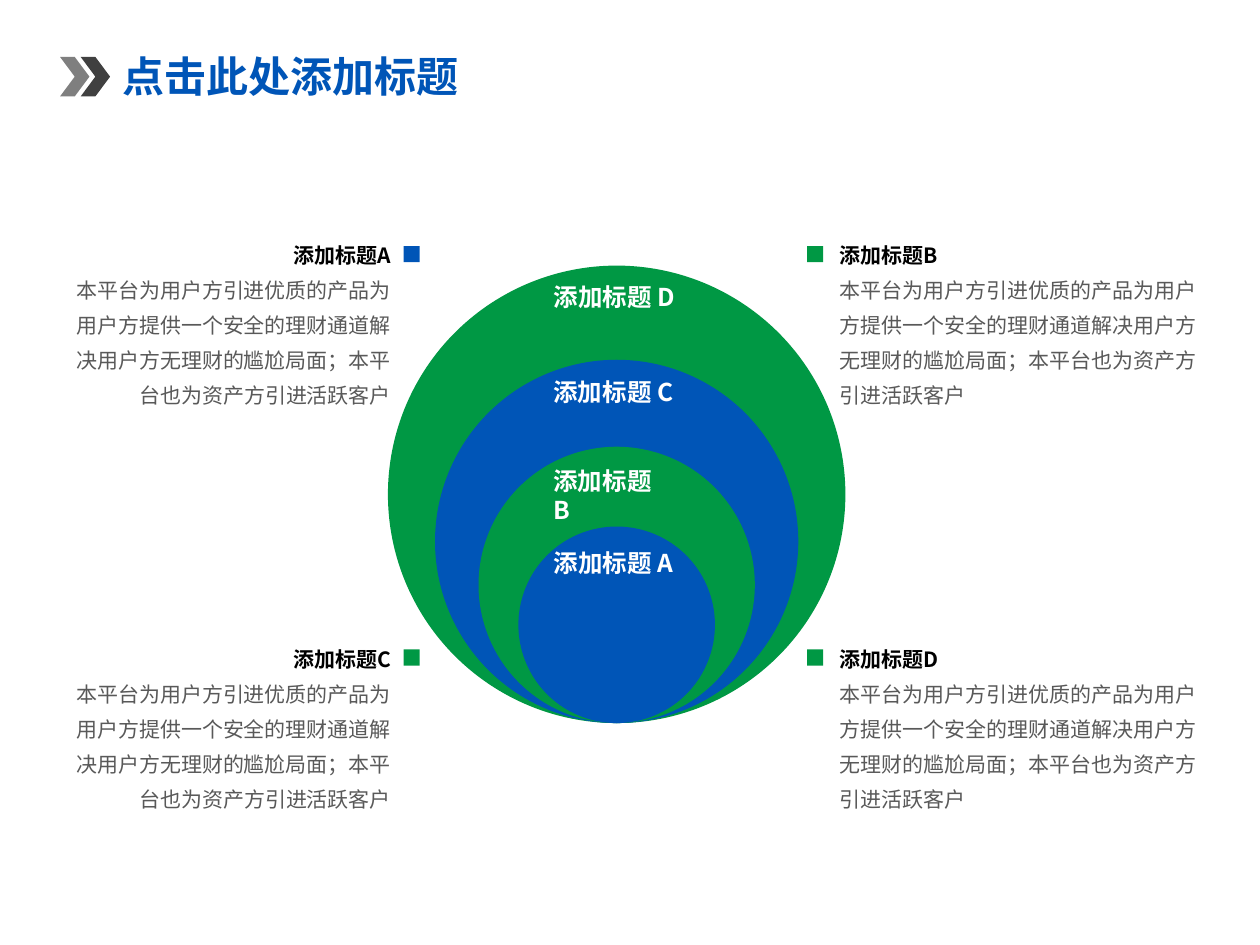
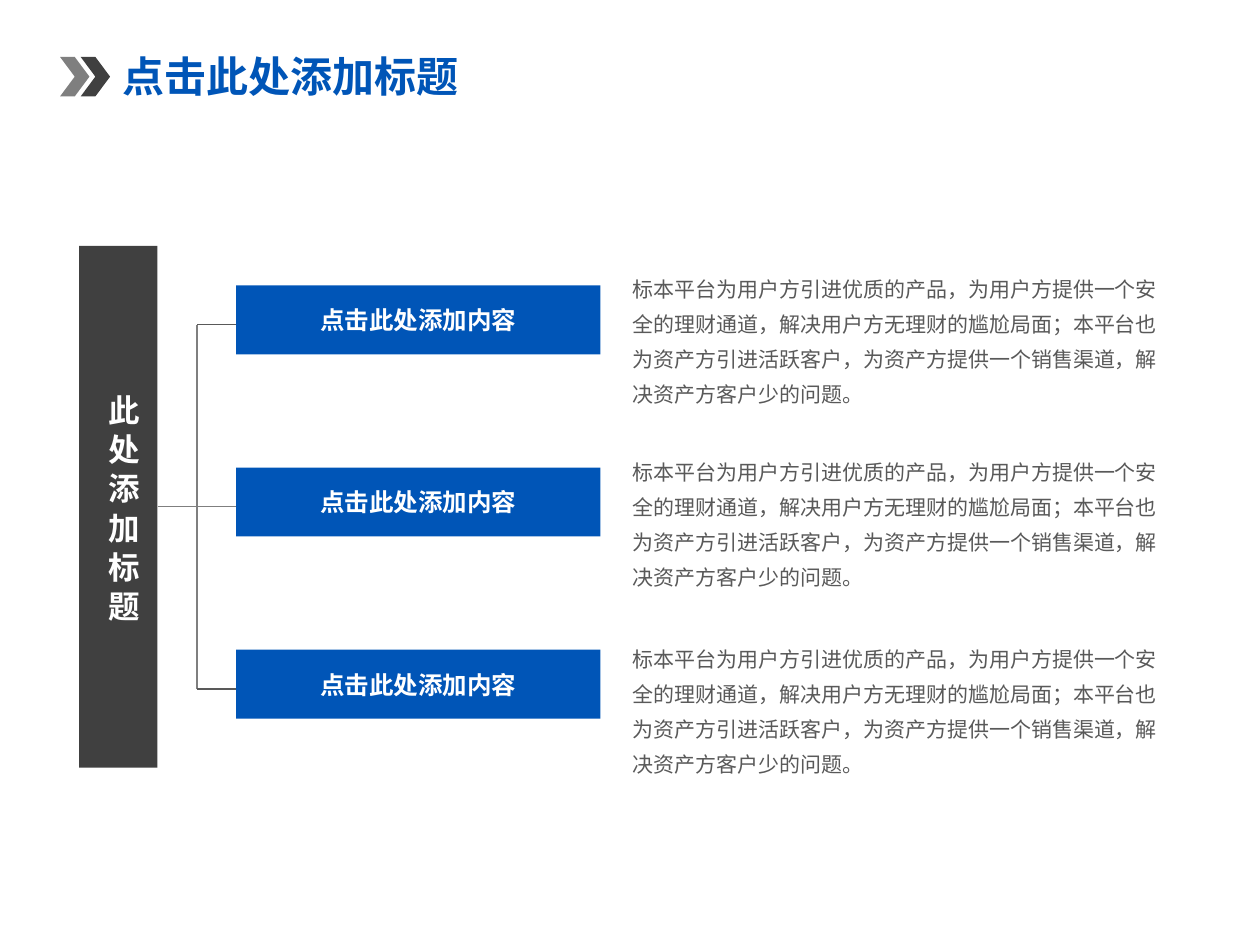
from lxml import etree
from pptx import Presentation
from pptx.dml.color import RGBColor
from pptx.enum.shapes import MSO_CONNECTOR, MSO_SHAPE
from pptx.enum.text import MSO_ANCHOR, MSO_AUTO_SIZE, PP_ALIGN
from pptx.oxml.ns import qn
from pptx.util import Pt

RECTANGLE, OVAL = MSO_SHAPE.RECTANGLE, MSO_SHAPE.OVAL
STRAIGHT = MSO_CONNECTOR.STRAIGHT
LEFT, CENTER, RIGHT = PP_ALIGN.LEFT, PP_ALIGN.CENTER, PP_ALIGN.RIGHT
MIDDLE = MSO_ANCHOR.MIDDLE
GROW = MSO_AUTO_SIZE.SHAPE_TO_FIT_TEXT

FONT = "Noto Sans CJK SC"
BLUE = RGBColor(0x00, 0x55, 0xB7)
GREEN = RGBColor(0x00, 0x98, 0x44)
DARK = RGBColor(0x40, 0x40, 0x40)
GRAY = RGBColor(0x7F, 0x7F, 0x7F)
BODY = RGBColor(0x59, 0x59, 0x59)
BLACK = RGBColor(0, 0, 0)
WHITE = RGBColor(0xFF, 0xFF, 0xFF)

TITLE = "点击此处添加标题"
TOPIC_TEXT = ("本平台为用户方引进优质的产品为用户方提供一个安全的理财通道"
              "解决用户方无理财的尴尬局面；本平台也为资产方引进活跃客户")
BRANCH_TEXT = ("标本平台为用户方引进优质的产品，为用户方提供一个安全的理财通道，"
               "解决用户方无理财的尴尬局面；本平台也为资产方引进活跃客户，"
               "为资产方提供一个销售渠道，解决资产方客户少的问题。")


def write(frame, text, size=12, color=BODY, bold=False, align=LEFT, spacing=None, new=False):
    """Write one formatted paragraph into a text frame."""
    para = frame.add_paragraph() if new else frame.paragraphs[0]
    para.alignment = align
    if spacing:
        para.line_spacing = Pt(spacing)
    span = para.add_run()
    span.text = text
    font = span.font
    font.name, font.size, font.bold = FONT, Pt(size), bold
    font.color.rgb = color
    east_asian = etree.SubElement(font._element, qn("a:ea"))
    east_asian.set("typeface", FONT)


def add_text_frame(page, left, top, width, height, wrap=True):
    box = page.shapes.add_textbox(Pt(left), Pt(top), Pt(width), Pt(height))
    box.text_frame.word_wrap = wrap
    box.text_frame.auto_size = GROW
    return box.text_frame


def paint(shape, color):
    shape.shadow.inherit = False
    shape.fill.solid()
    shape.fill.fore_color.rgb = color
    shape.line.fill.background()
    return shape


def add_block(page, kind, left, top, width, height, color):
    return paint(page.shapes.add_shape(kind, Pt(left), Pt(top), Pt(width), Pt(height)), color)


def add_line(page, x1, y1, x2, y2, color=GRAY):
    line = page.shapes.add_connector(STRAIGHT, Pt(x1), Pt(y1), Pt(x2), Pt(y2))
    line.line.color.rgb = color
    line.line.width = Pt(0.75)
    etree.SubElement(line._element.spPr, qn("a:effectLst"))
    return line


def add_chevron(page, left, color):
    top, half_width, half_height = 32.5, 8.4, 11.3
    outline = [(0, 0), (1, 0), (2, 1), (1, 2), (0, 2), (1, 1)]
    points = [(Pt(left + x * half_width), Pt(top + y * half_height)) for x, y in outline]
    builder = page.shapes.build_freeform(*points[0], scale=1.0)
    builder.add_line_segments(points[1:], close=True)
    paint(builder.convert_to_shape(), color)


def add_page(deck):
    """Add a blank page with the shared double chevron and title."""
    page = deck.slides.add_slide(deck.slide_layouts[6])
    add_chevron(page, 34.3, GRAY)
    add_chevron(page, 46.1, DARK)
    frame = add_text_frame(page, 63, 25.5, 220, 36)
    write(frame, TITLE, size=24, color=BLUE, bold=True)
    return page


def add_topic(page, letter, on_left, row_top, color):
    """Add a square marker with a heading and body text beside it."""
    marker_left, text_left, width, align = (
        (230.6, 28.3, 202.3, RIGHT) if on_left else (461.2, 472.7, 219.6, LEFT))
    add_block(page, RECTANGLE, marker_left, row_top + 11, 9.2, 9.2, color)
    frame = add_text_frame(page, text_left, row_top, width, 107.3)
    write(frame, "添加标题" + letter, color=BLACK, bold=True, align=align, spacing=20)
    write(frame, TOPIC_TEXT, align=align, spacing=20, new=True)


def build_circles_page(deck):
    page = add_page(deck)

    # Nested circles, all resting on the same bottom point
    center, bottom = 352.4, 413.2
    for diameter, color in [(261.4, GREEN), (207.6, BLUE), (157.9, GREEN), (112.3, BLUE)]:
        add_block(page, OVAL, center - diameter / 2, bottom - diameter, diameter, diameter, color)

    # Circle labels; the narrower ones break before the letter
    for letter, top, width in [("A", 309.6, 90), ("B", 262.8, 83), ("C", 211.9, 83), ("D", 157.7, 90)]:
        frame = add_text_frame(page, 309.2, top, width, 24.2)
        write(frame, "添加标题 " + letter, size=14, color=WHITE, bold=True)

    # Topics in the four corners
    for index, letter in enumerate("ABCD"):
        row, column = divmod(index, 2)
        add_topic(page, letter, column == 0, 129.6 + row * 230.5, GREEN if index else BLUE)


def build_tree_page(deck):
    page = add_page(deck)

    # Root bar with vertical heading
    bar = add_block(page, RECTANGLE, 45.2, 140.5, 44.8, 298.2, DARK)
    frame = add_text_frame(page, 49, 218.4, 36, 136, wrap=False)
    frame.margin_left = frame.margin_right = Pt(3.6)
    frame.margin_top = frame.margin_bottom = Pt(7.2)
    frame._element.bodyPr.set("vert", "eaVert")
    write(frame, "此 处 添 加 标 题", size=18, color=WHITE, bold=True, spacing=22)

    # Trunk and branch lines
    pitch, middle, trunk = 104.1, 289.6, 112.6
    stem = add_line(page, 90, middle, 146, middle)
    stem.begin_connect(bar, 3)
    add_line(page, trunk, middle - pitch, trunk, middle + pitch)
    for y in (middle - pitch, middle + pitch):
        add_line(page, trunk, y, 140, y, BODY)

    # Branch buttons and their descriptions
    for row, text_top in enumerate([149.1, 253.6, 360.2]):
        button = add_block(page, RECTANGLE, 134.9, 163.1 + row * pitch, 208.2, 39.4, BLUE)
        button.text_frame.vertical_anchor = MIDDLE
        write(button.text_frame, "点击此处添加内容", size=14, color=WHITE, bold=True, align=CENTER)
        write(add_text_frame(page, 354.4, text_top, 314.6, 87.1), BRANCH_TEXT, spacing=20)


def main():
    deck = Presentation()
    deck.slide_width, deck.slide_height = Pt(720), Pt(540)
    build_circles_page(deck)
    build_tree_page(deck)
    deck.save("out.pptx")


if __name__ == "__main__":
    main()
